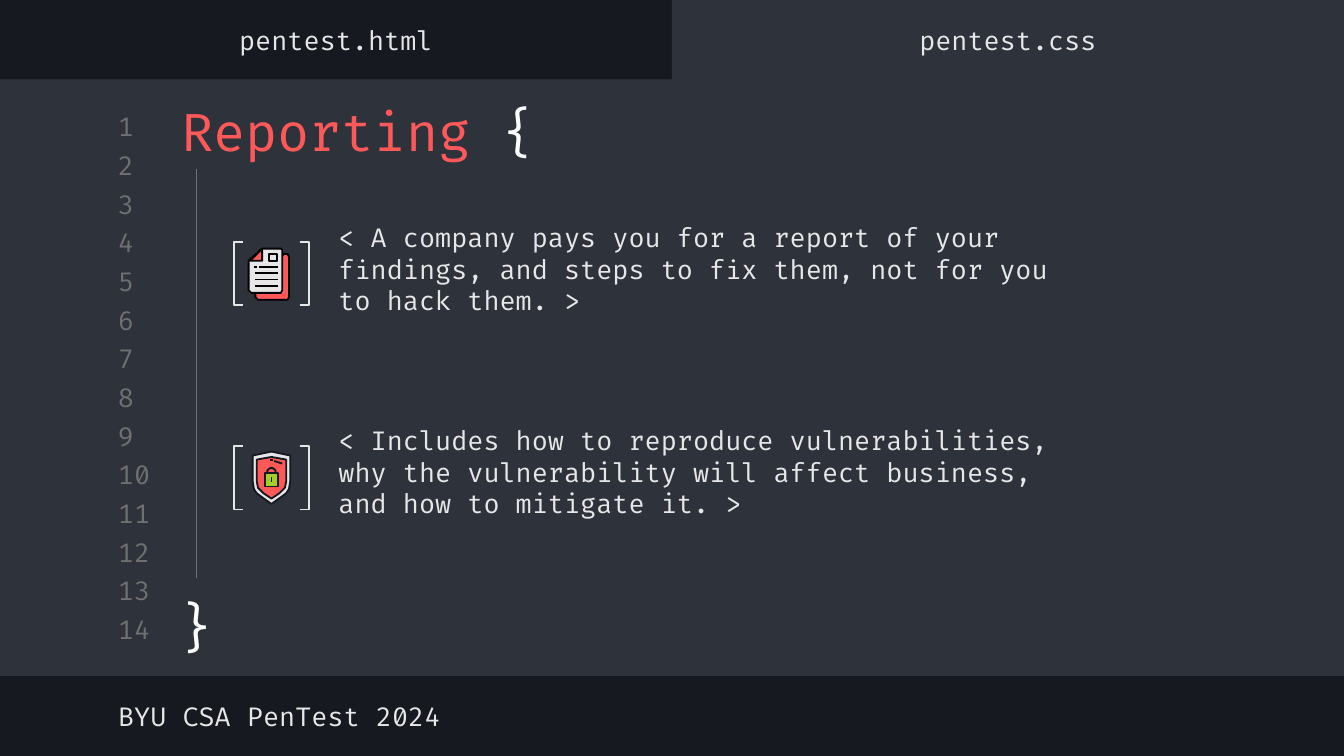
import pptx
import pptx.util
import pptx.dml.color
import pptx.enum.shapes
import pptx.enum.text
import pptx.oxml.ns
import lxml.etree

Inches = pptx.util.Inches
Shapes = pptx.enum.shapes.MSO_SHAPE
Anchor = pptx.enum.text.MSO_ANCHOR
Align = pptx.enum.text.PP_ALIGN
AutoSize = pptx.enum.text.MSO_AUTO_SIZE

# Content
COLORS = {"dark": "16191F", "panel": "2E323B", "gray": "707070", "light": "E7E7E7",
          "red": "FF5858", "white": "FFFFFF", "green": "A5CF27", "black": "000000"}
FONT = "Fira Code"
TABS = ["pentest.html", "pentest.css"]
TITLE = [("Reporting ", "red"), ("{", "white")]
CLOSING = [("}", "white")]
FOOTER = "BYU CSA PenTest 2024"
LINE_COUNT = 14
# text, text top, bracket top
POINTS = [
    ("< A company pays you for a report of your findings, and steps to fix them, "
     "not for you to hack them. >", 1.57, 1.8),
    ("< Includes how to reproduce vulnerabilities, why the vulnerability will affect "
     "business, and how to mitigate it. >", 3.08, 3.32),
]

# Icon outlines, in inches from the top centre of each bracket pair
BACK_SHEET = [(0.09, 0.09), (-0.12, 0.38), (-0.12, 0.41), (-0.1, 0.43),
              (0.12, 0.43), (0.13, 0.41), (0.13, 0.11), (0.12, 0.09)]
FRONT_SHEET = [(-0.07, 0.05), (-0.17, 0.14), (-0.17, 0.36), (-0.15, 0.38),
               (0.07, 0.38), (0.08, 0.36), (0.08, 0.06), (0.07, 0.05)]
FOLD = [(-0.07, 0.05), (-0.07, 0.14), (-0.16, 0.14)]
PHOTO = [(-0.02, 0.09), (0.04, 0.09), (0.04, 0.14), (-0.02, 0.14)]
TEXT_ROWS = [(-0.09, 0.19), (-0.12, 0.23), (-0.12, 0.28), (-0.12, 0.33)]
# right halves, mirrored when drawn
SHIELD = [(0, 0.04), (0.14, 0.07), (0.14, 0.26), (0.13, 0.32), (0.11, 0.35),
          (0.07, 0.38), (0, 0.43)]
SHIELD_FACE = [(0, 0.08), (0.11, 0.1), (0.11, 0.26), (0.1, 0.31), (0.06, 0.35), (0, 0.39)]
SHACKLE = [(0.03, 0.2), (0.03, 0.18), (0.02, 0.17), (0, 0.16)]
LOCK_BODY = [(-0.05, 0.2), (0.05, 0.2), (0.05, 0.3), (-0.05, 0.3)]

deck = pptx.Presentation()
deck.slide_width = Inches(10)
deck.slide_height = Inches(10) * 9 // 16
page = deck.slides.add_slide(deck.slide_layouts[6])


def rgb(name):
    return pptx.dml.color.RGBColor.from_string(COLORS[name])


def paint(shape, fill=None, line=None, width=0.75):
    shape.shadow.inherit = False
    if fill:
        shape.fill.solid()
        shape.fill.fore_color.rgb = rgb(fill)
    else:
        shape.fill.background()
    if line:
        shape.line.color.rgb = rgb(line)
        shape.line.width = pptx.util.Pt(width)
    else:
        shape.line.fill.background()


def add_preset(kind, place, **look):
    shape = page.shapes.add_shape(kind, *map(Inches, place))
    paint(shape, **look)
    return shape


def add_text(place, spans, size=14, align=Align.LEFT, **frame_format):
    box = page.shapes.add_textbox(*map(Inches, place))
    frame = box.text_frame
    sides = {f"margin_{side}": Inches(0.1) for side in ("left", "top", "right", "bottom")}
    settings = {"word_wrap": True, "vertical_anchor": Anchor.MIDDLE} | sides | frame_format
    for name, value in settings.items():
        setattr(frame, name, value)
    para = frame.paragraphs[0]
    para.alignment = align
    for text, color in spans:
        span = para.add_run()
        span.text = text
        for name, value in {"name": FONT, "size": pptx.util.Pt(size)}.items():
            setattr(span.font, name, value)
        span.font.color.rgb = rgb(color)


def add_line(start, end, color, width=0.75):
    line = page.shapes.add_connector(pptx.enum.shapes.MSO_CONNECTOR.STRAIGHT,
                                     *map(Inches, start + end))
    line.line.color.rgb = rgb(color)
    line.line.width = pptx.util.Pt(width)
    lxml.etree.SubElement(line._element.spPr, pptx.oxml.ns.qn("a:effectLst"))


def add_outline(origin, points, close=True, **look):
    placed = [(Inches(origin[0] + x), Inches(origin[1] + y)) for x, y in points]
    builder = page.shapes.build_freeform(*placed[0])
    builder.add_line_segments(placed[1:], close=close)
    paint(builder.convert_to_shape(), **look)


def add_stroke(origin, start, end, color):
    placed = [(origin[0] + x, origin[1] + y) for x, y in (start, end)]
    add_line(*placed, color, 1)


def mirrored(half):
    return half + [(-x, y) for x, y in reversed(half) if x]


def draw_report(origin):
    for points, fill in ((BACK_SHEET, "red"), (FRONT_SHEET, "light"),
                         (FOLD, "red"), (PHOTO, "light")):
        add_outline(origin, points, fill=fill, line="black", width=1)
    for left, y in TEXT_ROWS:
        add_stroke(origin, (left, y), (0.05, y), "black")
    add_stroke(origin, (-0.13, 0.19), (-0.11, 0.19), "black")


def draw_shield(origin):
    add_outline(origin, mirrored(SHIELD), fill="light", line="dark", width=1)
    add_outline(origin, mirrored(SHIELD_FACE), fill="red", line="dark", width=1)
    shackle = SHACKLE + [(-x, y) for x, y in SHACKLE[-2::-1]]
    add_outline(origin, shackle, close=False, line="dark", width=1)
    add_outline(origin, LOCK_BODY, fill="green", line="dark", width=1)
    for start, end in (((0, 0.23), (0, 0.27)), ((0.02, 0.11), (0.08, 0.13)),
                       ((-0.01, 0.1), (0.01, 0.1))):
        add_stroke(origin, start, end, "dark")


# Editor window: background, panel and active tab
page.background.fill.solid()
page.background.fill.fore_color.rgb = rgb("dark")
for place in ((0, 0.59, 10, 4.44), (5, 0, 5, 0.65)):
    add_preset(Shapes.RECTANGLE, place, fill="panel")
for index, name in enumerate(TABS):
    add_text((5 * index, 0.1, 5, 0.39), [(name, "light")], align=Align.CENTER)

# Line numbers, evenly spaced
first, last = 0.82, 4.56
for index in range(LINE_COUNT):
    top = first + index * (last - first) / (LINE_COUNT - 1)
    add_text((0.78, top, 0.47, 0.24), [(str(index + 1), "gray")])

# Code block: title, guide line and closing brace
add_text((1.25, 0.68, 5.84, 0.58), TITLE, size=28)
add_line((1.46, 1.26), (1.46, 4.3), "gray")
add_text((1.19, 4.32, 0.55, 0.67), CLOSING, size=28, align=Align.CENTER,
         vertical_anchor=Anchor.TOP, auto_size=AutoSize.SHAPE_TO_FIT_TEXT)

# Points with bracketed icons
for (text, text_top, top), draw_icon in zip(POINTS, (draw_report, draw_shield)):
    add_text((2.42, text_top, 5.62, 0.86), [(text, "light")])
    for kind, left in ((Shapes.LEFT_BRACKET, 1.74), (Shapes.RIGHT_BRACKET, 2.23)):
        bracket = add_preset(kind, (left, top, 0.07, 0.47), line="light")
        bracket.adjustments[0] = 0
    draw_icon((2.02, top))

# Footer
add_text((0.78, 5.13, 5.32, 0.39), [(FOOTER, "light")])

deck.save("out.pptx")
